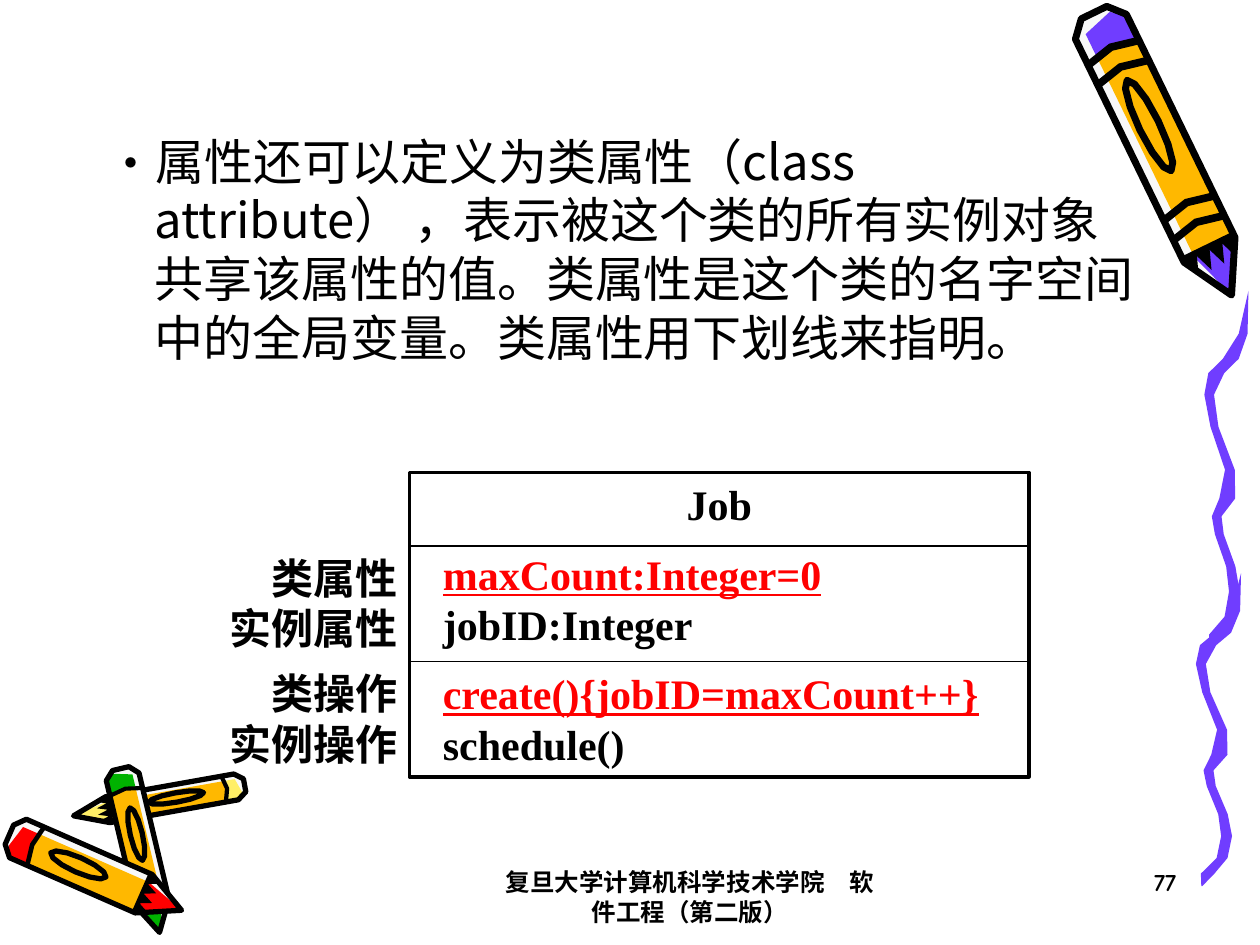
"""Build a slide on class attributes with a class diagram and crayon decorations."""
import math
from dataclasses import dataclass
from typing import NamedTuple

from lxml import etree
from pptx import Presentation
from pptx.dml.color import RGBColor
from pptx.enum.shapes import MSO_CONNECTOR, MSO_SHAPE
from pptx.enum.text import MSO_ANCHOR, PP_ALIGN
from pptx.oxml.ns import qn
from pptx.util import Emu, Inches, Pt

LEFT, CENTER, RIGHT = PP_ALIGN.LEFT, PP_ALIGN.CENTER, PP_ALIGN.RIGHT
TOP, MIDDLE = MSO_ANCHOR.TOP, MSO_ANCHOR.MIDDLE
RECTANGLE, STRAIGHT = MSO_SHAPE.RECTANGLE, MSO_CONNECTOR.STRAIGHT
CELL = Inches(1) // 12
Point = tuple[float, float]


@dataclass(frozen=True)
class Theme:
    """Colours, typefaces and type sizes."""
    black: str = "000000"
    red: str = "FF0000"
    violet: str = "703DFF"
    orange: str = "FFB800"
    yellow: str = "FFEF66"
    green: str = "00B200"
    paper: str = "F8F8F8"
    body_font: str = "Noto Sans CJK SC"
    footer_font: str = "Comic Neue"
    diagram_font: str = "Times New Roman"
    body_size: int = 28
    diagram_size: int = 24
    footer_size: int = 14


THEME = Theme()


class Area(NamedTuple):
    """A box in grid cells, twelve to the inch."""
    column: float
    row: float
    columns: float
    rows: float

    def lengths(self) -> list[Emu]:
        """Give left, top, width and height."""
        return [Emu(round(value * CELL)) for value in self]


class TextStyle(NamedTuple):
    """The look of one paragraph."""
    font: str
    size: int
    bold: bool = True
    color: str = THEME.black
    underline: bool = False


class Block(NamedTuple):
    """A text box of styled lines."""
    area: Area
    lines: tuple[tuple[str, TextStyle], ...]
    align: PP_ALIGN = LEFT
    anchor: MSO_ANCHOR = TOP


class Crayon(NamedTuple):
    """A crayon from tail to tip in grid cells; rings and shoulder are shares of its length."""
    tail: Point
    tip: Point
    width: float
    color: str
    shine_side: int
    rings: tuple[float, ...]
    shoulder: float
    ink_width: float

    def place(self, along: float, across: float) -> Point:
        """Turn shares of length and width into a grid point."""
        run, rise = self.tip[0] - self.tail[0], self.tip[1] - self.tail[1]
        offset = across * self.width / math.hypot(run, rise)
        return (self.tail[0] + along * run - offset * rise,
                self.tail[1] + along * rise + offset * run)


class Bend(NamedTuple):
    """A station on the ribbon: depth, centre and thickness as shares of its box."""
    depth: float
    center: float
    thickness: float


BODY = TextStyle(THEME.body_font, THEME.body_size, bold=False)
FOOTER = TextStyle(THEME.footer_font, THEME.footer_size)
MEMBER = TextStyle(THEME.diagram_font, THEME.diagram_size)
CLASS_MEMBER = MEMBER._replace(color=THEME.red, underline=True)

BODY_AREA = Area(9, 11.9, 101, 60)
BODY_TEXT = ("属性还可以定义为类属性（class attribute） ，表示被这个类的所有实例对象共享该属性的值。"
             "类属性是这个类的名字空间中的全局变量。类属性用下划线来指明。")
CLASS_BOX = Area(39, 45, 59, 29)
ATTRIBUTE_ROW, OPERATION_ROW = 52, 63

FOOTERS = (
    Block(Area(46.7, 82, 38, 6), (("复旦大学计算机科学技术学院　软件工程（第二版）", FOOTER),), CENTER),
    Block(Area(88.2, 82, 25, 6), (("77", FOOTER),), RIGHT),
)
MEMBERS = (
    Block(Area(41, ATTRIBUTE_ROW, 46, 10),
          (("maxCount:Integer=0", CLASS_MEMBER), ("jobID:Integer", MEMBER)), anchor=MIDDLE),
    Block(Area(41, OPERATION_ROW, 54, 10.8),
          (("create(){jobID=maxCount++}", CLASS_MEMBER), ("schedule()", MEMBER))),
)
LABELS = tuple(
    Block(Area(20, row, 19, 11), ((f"类{kind}", MEMBER), (f"实例{kind}", MEMBER)), RIGHT)
    for row, kind in ((ATTRIBUTE_ROW, "属性"), (OPERATION_ROW, "操作"))
)

CRAYONS = (
    Crayon((104.2, 1.2), (117.3, 28.1), 5.4, THEME.violet, 1, (0.13, 0.2, 0.68, 0.75), 0.84, 4),
    Crayon((23.3, 74.8), (7, 77.7), 2.5, THEME.yellow, 1, (0.11,), 0.8, 3),
    Crayon((11.5, 73.2), (15.2, 88.8), 3.2, THEME.green, -1, (0.13,), 0.82, 3),
    Crayon((0.9, 79.5), (17.3, 86.7), 4, THEME.red, -1, (0.14,), 0.78, 3),
)
RIBBON_AREAS = (Area(113.9, 54.6, 4.3, 29.8), Area(114.7, 27.7, 4.2, 34.1))
RIBBON = (
    Bend(0, 1, 0), Bend(0.12, 0.88, 0.2), Bend(0.19, 0.6, 0.36), Bend(0.23, 0.27, 0.36),
    Bend(0.29, 0.11, 0.22), Bend(0.38, 0.23, 0.18), Bend(0.5, 0.58, 0.22), Bend(0.58, 0.52, 0.36),
    Bend(0.63, 0.28, 0.22), Bend(0.68, 0.34, 0.2), Bend(0.77, 0.6, 0.21), Bend(0.84, 0.68, 0.24),
    Bend(0.91, 0.58, 0.24), Bend(0.96, 0.26, 0.3), Bend(1, 0.13, 0.02),
)


def draw_polygon(slide, points: list[Point], fill: str = "", ink_width: float = 0) -> None:
    """Draw a closed polygon through grid points, filled, inked or both."""
    corners = [(column * CELL, row * CELL) for column, row in points]
    builder = slide.shapes.build_freeform(*corners[0])
    builder.add_line_segments(corners[1:], close=True)
    shape = builder.convert_to_shape()
    shape.shadow.inherit = False
    if fill:
        shape.fill.solid()
        shape.fill.fore_color.rgb = RGBColor.from_string(fill)
    else:
        shape.fill.background()
    if ink_width:
        shape.line.color.rgb = RGBColor.from_string(THEME.black)
        shape.line.width = Pt(ink_width)
    else:
        shape.line.fill.background()


def draw_crayon(slide, crayon: Crayon) -> None:
    """Layer a crayon: pale casing, colours, rings, jagged shoulder, oval label and ink."""
    shoulder, ring = crayon.shoulder, crayon.rings[0]
    dark, shine = -0.5 * crayon.shine_side, 0.3 * crayon.shine_side
    casing = [(0, -0.25), (0, 0.25), (0.05, 0.5), (shoulder, 0.5), (1, 0), (shoulder, -0.5), (0.05, -0.5)]
    cap = [(0.02, dark / 2), (0.05, dark), (ring, dark), (ring, shine), (0.05, shine)]
    barrel = [(ring, dark), (shoulder, dark), (shoulder, shine), (ring, shine)]
    cone = [(shoulder, dark), (1, 0), (shoulder, shine)]
    teeth = [(shoulder + 0.06 * (step % 2), step / 8 - 0.5) for step in range(9)]
    jagged = teeth + [(shoulder - 0.02, 0.5), (shoulder - 0.02, -0.5)]
    angles = [math.tau * step / 12 for step in range(12)]
    oval = [(0.4 + 0.16 * math.cos(angle), 0.18 * math.sin(angle)) for angle in angles]
    bands = [[(start, -0.5), (start - 0.02, 0), (start, 0.5), (start + 0.025, 0.5),
              (start + 0.005, 0), (start + 0.025, -0.5)] for start in crayon.rings]
    layers = [(casing, THEME.paper, 0), (cap, crayon.color, 0), (barrel, THEME.orange, 0),
              (cone, crayon.color, 0), *((band, THEME.black, 0) for band in bands),
              (jagged, THEME.black, 0), (oval, "", crayon.ink_width), (casing, "", crayon.ink_width)]
    for outline, fill, ink_width in layers:
        draw_polygon(slide, [crayon.place(*corner) for corner in outline], fill, ink_width)


def draw_ribbon(slide, area: Area) -> None:
    """Draw the wavy ribbon, down its left edge and back up its right edge."""
    sides = [[(area.column + area.columns * (bend.center + side * bend.thickness / 2),
               area.row + area.rows * bend.depth) for bend in RIBBON] for side in (-1, 1)]
    draw_polygon(slide, sides[0] + sides[1][::-1], THEME.violet)


def draw_divider(slide, row: float) -> None:
    """Draw a compartment line across the class box."""
    left, right = CLASS_BOX.column, CLASS_BOX.column + CLASS_BOX.columns
    ends = [Emu(value * CELL) for value in (left, row, right, row)]
    connector = slide.shapes.add_connector(STRAIGHT, *ends)
    connector.line.color.rgb = RGBColor.from_string(THEME.black)
    connector.line.width = Pt(0.75)
    etree.SubElement(connector._element.spPr, qn("a:effectLst"))


def style_paragraph(paragraph, style: TextStyle, align: PP_ALIGN) -> None:
    """Apply a style to a whole paragraph."""
    paragraph.alignment = align
    font = paragraph.font
    font.name, font.size, font.bold = style.font, Pt(style.size), style.bold
    font.underline = style.underline
    font.color.rgb = RGBColor.from_string(style.color)
    etree.SubElement(font._element, qn("a:ea"), typeface=THEME.body_font)


def add_bullet(paragraph, bullet: str) -> None:
    """Give a paragraph a hanging bullet and keep punctuation inside the box."""
    properties = paragraph._p.get_or_add_pPr()
    indent = Inches(0.38)
    for name, value in (("marL", indent), ("indent", -indent), ("hangingPunct", 0)):
        properties.set(name, str(value))
    etree.SubElement(properties, qn("a:buFont"), typeface=THEME.body_font)
    etree.SubElement(properties, qn("a:buChar"), char=bullet)


def fill_text(shape, block: Block, bullet: str = "") -> None:
    """Write the lines of a block into a shape."""
    frame = shape.text_frame
    frame.word_wrap = True
    frame.vertical_anchor = block.anchor
    frame.text = "\n".join(text for text, _ in block.lines)
    for paragraph, (_, style) in zip(frame.paragraphs, block.lines):
        if bullet:
            add_bullet(paragraph, bullet)
        style_paragraph(paragraph, style, block.align)


def draw_text(slide, block: Block, bullet: str = "") -> None:
    """Draw a block as a text box."""
    fill_text(slide.shapes.add_textbox(*block.area.lengths()), block, bullet)


def draw_class_box(slide) -> None:
    """Draw the class frame with its name and compartment lines."""
    shape = slide.shapes.add_shape(RECTANGLE, *CLASS_BOX.lengths())
    shape.shadow.inherit = False
    shape.fill.background()
    shape.line.color.rgb = RGBColor.from_string(THEME.black)
    shape.line.width = Pt(2)
    fill_text(shape, Block(CLASS_BOX, (("Job", MEMBER),), CENTER))
    for row in (OPERATION_ROW, ATTRIBUTE_ROW):
        draw_divider(slide, row)


def main() -> None:
    """Build and save the presentation."""
    presentation = Presentation()
    presentation.slide_width, presentation.slide_height = Inches(10), Inches(7.5)
    slide = presentation.slides.add_slide(presentation.slide_layouts[6])
    for crayon in CRAYONS:
        draw_crayon(slide, crayon)
    for area in RIBBON_AREAS:
        draw_ribbon(slide, area)
    draw_text(slide, Block(BODY_AREA, ((BODY_TEXT, BODY),)), bullet="•")
    for block in FOOTERS + MEMBERS:
        draw_text(slide, block)
    draw_class_box(slide)
    for block in LABELS:
        draw_text(slide, block)
    presentation.save("out.pptx")


if __name__ == "__main__":
    main()
